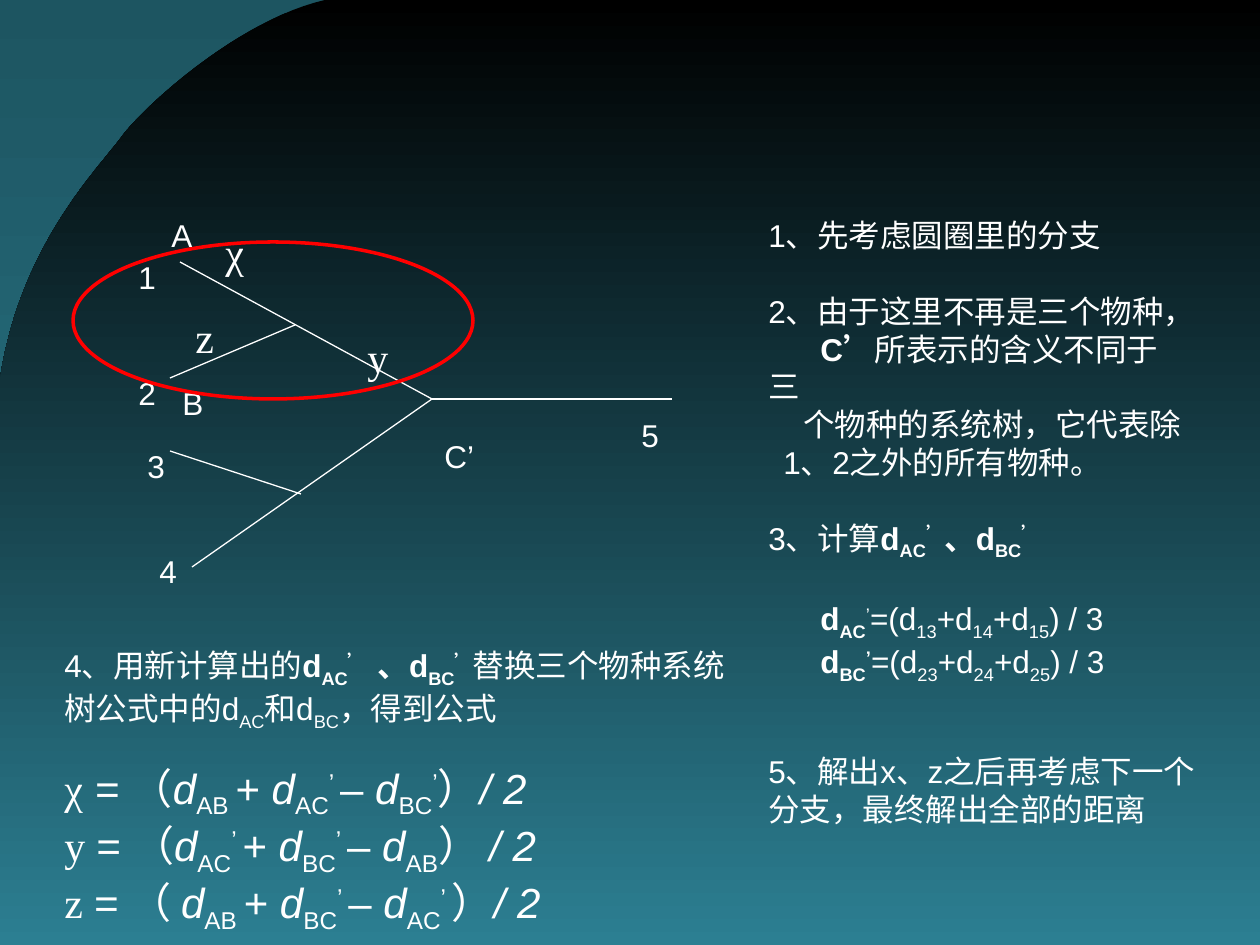
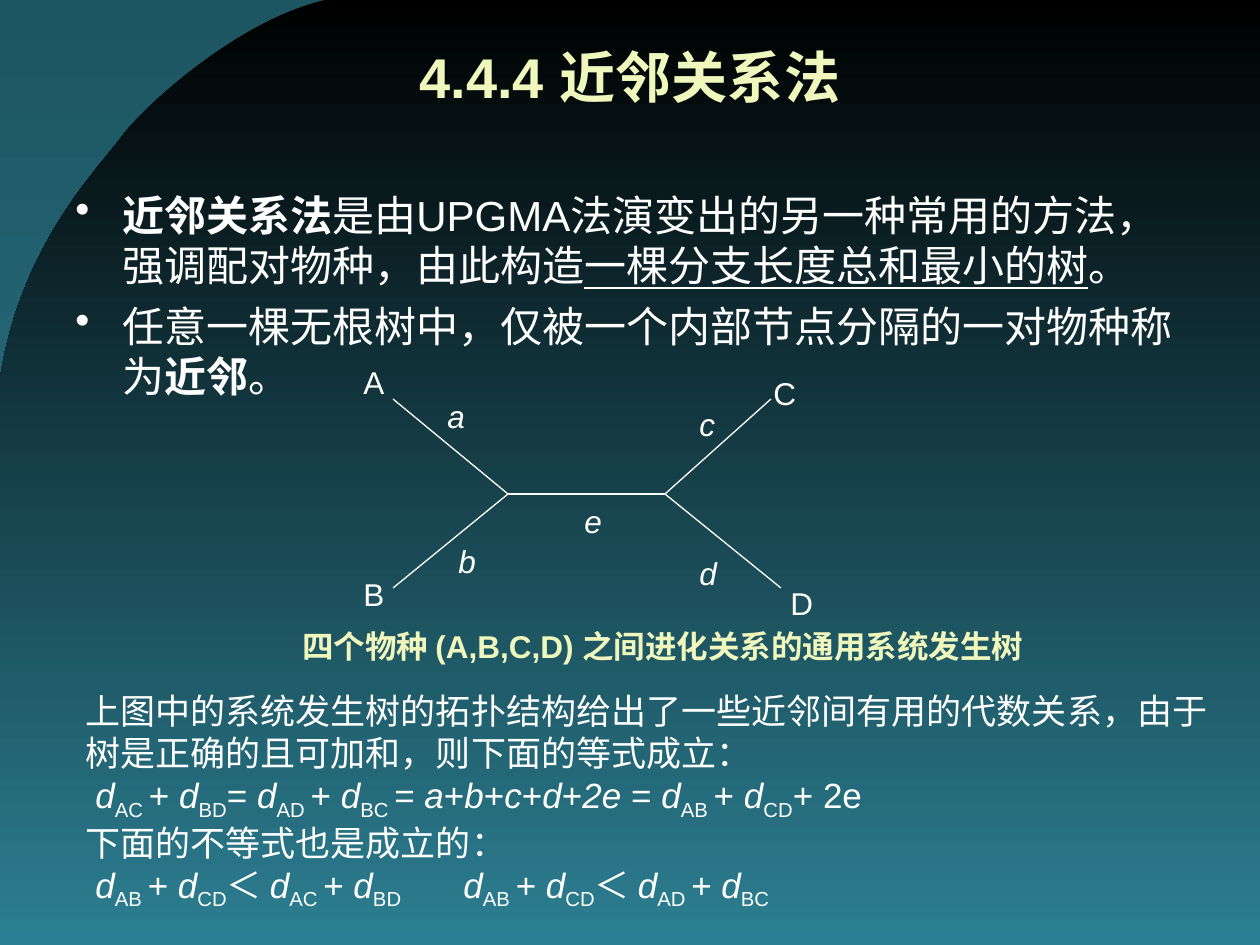
"""Build two slides on distance formulas for phylogenetic trees."""
from dataclasses import dataclass

from lxml.etree import SubElement
from pptx import Presentation
from pptx.dml.color import RGBColor
from pptx.enum.shapes import MSO_CONNECTOR, MSO_SHAPE
from pptx.enum.text import MSO_ANCHOR, PP_ALIGN
from pptx.oxml.ns import qn
from pptx.util import Emu, Pt

PX = 914400 / 126
WIDTH, HEIGHT = 1260, 945
WHITE, CREAM, RED = "FFFFFF", "F0F7BD", "FF0000"
BLACK, DARK_TEAL, TEAL = "000000", "1D5561", "2C7F92"
SANS, SERIF = "Arial", "Times New Roman"
TITLE_ONLY, BLANK = 5, 6
MARKS = "*~_^|$"


def px(length):
    return Emu(round(length * PX))


def rgb(value):
    return RGBColor.from_string(value)


def bezier(start, control1, control2, end, steps=24):
    for step in range(1, steps + 1):
        t = step / steps
        weights = ((1 - t) ** 3, 3 * t * (1 - t) ** 2, 3 * t * t * (1 - t), t ** 3)
        points = (start, control1, control2, end)
        yield tuple(px(sum(w * p[axis] for w, p in zip(weights, points))) for axis in (0, 1))


def split_marks(markup):
    active, words = set(), ""
    for char in markup:
        if char in MARKS:
            if words:
                yield words, frozenset(active)
            active ^= {char}
            words = ""
        else:
            words += char
    if words:
        yield words, frozenset(active)


@dataclass
class Line:
    markup: str
    before: float = 0
    left: int = 0
    first: int = 0
    tab: int = 0
    bullet: bool = False


class Deck:
    """Hold the shared style and the slide being built."""

    def __init__(self):
        self.prs = Presentation()
        self.prs.slide_width, self.prs.slide_height = px(WIDTH), px(HEIGHT)
        self.slide = None
        self.gradient(self.prs.slide_master.background.fill, DARK_TEAL, TEAL)

    def start(self, layout):
        self.slide = self.prs.slides.add_slide(self.prs.slide_layouts[layout])

    def gradient(self, fill, top, bottom):
        fill.gradient()
        fill.gradient_angle = 270
        for stop, color in zip(fill.gradient_stops, (top, bottom)):
            stop.color.rgb = rgb(color)

    def master_curve(self):
        crest, bend, edge = (325, 0), (123, 135), (0, 379)
        outline = self.slide.shapes.build_freeform(px(crest[0]), px(crest[1]), scale=1.0)
        outline.add_line_segments(bezier(crest, (239, 20), (146, 105), bend), close=False)
        outline.add_line_segments(bezier(bend, (101, 166), (20, 244), edge), close=False)
        corners = [(0, HEIGHT), (WIDTH, HEIGHT), (WIDTH, 0)]
        outline.add_line_segments([(px(x), px(y)) for x, y in corners], close=True)
        curve = outline.convert_to_shape()
        self.gradient(curve.fill, BLACK, TEAL)
        curve.line.fill.background()
        curve.shadow.inherit = False
        self.prs.slide_master.shapes._spTree.insert(2, curve._element)

    def paragraph(self, paragraph, line, size, color, bold=None):
        if line.before:
            paragraph.space_before = Pt(line.before)
        props = paragraph._p.get_or_add_pPr()
        props.set("marL", str(px(line.left)))
        props.set("indent", str(px(line.first)))
        if line.bullet:
            bullet_color = SubElement(props, qn("a:buClr"))
            SubElement(bullet_color, qn("a:srgbClr"), val=color)
            SubElement(props, qn("a:buChar"), char="•")
        if line.tab:
            stops = SubElement(props, qn("a:tabLst"))
            SubElement(stops, qn("a:tab"), pos=str(px(line.tab)), algn="l")
        font = paragraph.font
        font.name, font.size, font.bold = SANS, Pt(size), bold
        font.color.rgb = rgb(color)
        for words, marks in split_marks(line.markup):
            run = paragraph.add_run()
            run.text = words
            if "*" in marks:
                run.font.bold = True
            if "~" in marks:
                run.font.italic = True
            if "|" in marks:
                run.font.underline = True
            if "$" in marks:
                run.font.name = SERIF
            if marks & {"_", "^"}:
                baseline = "-25000" if "_" in marks else "30000"
                run._r.get_or_add_rPr().set("baseline", baseline)

    def title(self, words):
        heading = self.slide.shapes.title
        heading.left, heading.top, heading.width, heading.height = map(px, (63, 32, 1134, 88))
        frame = heading.text_frame
        frame.vertical_anchor = MSO_ANCHOR.MIDDLE
        paragraph = frame.paragraphs[0]
        paragraph.alignment = PP_ALIGN.CENTER
        self.paragraph(paragraph, Line(words), 32, CREAM, True)
        effects = SubElement(paragraph.runs[0]._r.get_or_add_rPr(), qn("a:effectLst"))
        shadow = SubElement(effects, qn("a:outerShdw"), dist="38100", dir="2700000")
        SubElement(shadow, qn("a:srgbClr"), val=BLACK)

    def text(self, box, lines, size=18, color=WHITE, bold=None):
        frame = self.slide.shapes.add_textbox(*map(px, box)).text_frame
        frame.word_wrap = True
        for index, line in enumerate(lines):
            paragraph = frame.add_paragraph() if index else frame.paragraphs[0]
            self.paragraph(paragraph, line, size, color, bold)

    def labels(self, entries, size=18):
        for markup, left, top in entries:
            width = 45 if len(markup.strip(MARKS)) == 1 else 60
            self.text((left, top, width, round(size * 2.8)), [Line(markup)], size)

    def branches(self, pairs):
        for start, end in pairs:
            branch = self.slide.shapes.add_connector(
                MSO_CONNECTOR.STRAIGHT, *map(px, (*start, *end)))
            branch.line.color.rgb = rgb(WHITE)
            branch.line.width = Pt(0.75)
            SubElement(branch._element.spPr, qn("a:effectLst"))

    def ring(self, box):
        ring = self.slide.shapes.add_shape(MSO_SHAPE.OVAL, *map(px, box))
        ring.fill.background()
        ring.line.color.rgb = rgb(RED)
        ring.line.width = Pt(2)
        ring.shadow.inherit = False


def five_species(deck):
    deck.start(BLANK)
    deck.master_curve()
    root = (432, 399)
    deck.branches([
        ((180, 262), root), ((295, 325), (170, 378)), (root, (192, 567)),
        ((170, 451), (301, 494)), (root, (672, 399)),
    ])
    deck.labels([
        ("A", 159, 210), ("B", 170, 378), ("C’", 432, 431), ("1", 126, 252),
        ("2", 126, 368), ("3", 135, 441), ("4", 147, 546), ("5", 629, 410),
    ])
    deck.labels([("$χ$", 213, 220), ("$у$", 355, 325), ("$z$", 183, 305)], 24)
    deck.ring((73, 242, 400, 157))
    gap = 21.6
    deck.text((756, 210, 441, 483), [
        Line("1、先考虑圆圈里的分支"),
        Line("2、由于这里不再是三个物种，", gap),
        Line("*C’*所表示的含义不同于三", first=52),
        Line("个物种的系统树，它代表除 1、2之外的所有物种。", left=15, first=20),
        Line("3、计算*d_AC_^’^、d_BC_^’^*", gap),
        Line("*d_AC_*^’^=(d_13_+d_14_+d_15_) / 3", gap, first=52),
        Line("*d_BC_^’^*=(d_23_+d_24_+d_25_) / 3", first=52),
    ])
    deck.text((52, 640, 693, 98), [
        Line("4、用新计算出的*d_AC_^’ ^ 、d_BC_^’^*替换三个物种系统树公式中的d_AC_和d_BC_，得到公式"),
    ])
    deck.text((52, 756, 651, 185), [
        Line("$χ$~ = ~（~d~_AB _+~ d~_AC_^’ ^– ~d~_BC_^’^）~/ 2~"),
        Line("$у $~= ~（~d~_AC_^’ ^+~ d~_BC_^’ ^– ~d~_AB_） ~/ 2~"),
        Line("$z $~= ~（ ~d~_AB _+ ~d~_BC_^’ ^–~ d~_AC_^’ ^）~/ 2~"),
    ], 24)
    deck.text((756, 746, 472, 88), [Line("5、解出x、z之后再考虑下一个分支，最终解出全部的距离")])


def neighbours(deck):
    deck.start(TITLE_ONLY)
    deck.title("4.4.4 近邻关系法")
    hanging = dict(left=47, first=-47, bullet=True)
    deck.text((63, 183, 1134, 693), [
        Line("*近邻关系法*是由UPGMA法演变出的另一种常用的方法，强调配对物种，由此构造|一棵分支长度总和最小的树|。", **hanging),
        Line("任意一棵无根树中，仅被一个内部节点分隔的一对物种称为*近邻*。", 6, **hanging),
    ], 24)
    left_node, right_node = (508, 494), (665, 494)
    deck.branches([
        ((393, 399), left_node), (left_node, (393, 588)), (left_node, right_node),
        (right_node, (771, 399)), (right_node, (781, 588)),
    ])
    deck.labels([
        ("A", 351, 357), ("B", 351, 569), ("C", 761, 368), ("D", 778, 578),
        ("~a~", 435, 391), ("~b~", 446, 536), ("~c~", 687, 399),
        ("~d~", 687, 548), ("~e~", 572, 496),
    ])
    deck.text((290, 621, 770, 50), [Line("四个物种 (A,B,C,D) 之间进化关系的通用系统发生树")],
              color=CREAM, bold=True)
    deck.text((73, 683, 1155, 234), [
        Line("上图中的系统发生树的拓扑结构给出了一些近邻间有用的代数关系，由于树是正确的且可加和，则下面的等式成立："),
        Line("~d~_AC _+ ~d~_BD_= ~d~_AD _+ ~d~_BC _= ~a~+~b~+~c~+~d~+~2e ~= ~d~_AB _+ ~d~_CD_+ 2e", first=10),
        Line("下面的不等式也是成立的："),
        Line("~d~_AB _+ ~d~_CD_＜ ~d~_AC _+ ~d~_BD_\t~d~_AB _+ ~d~_CD_＜ ~d~_AD _+ ~d~_BC_",
             first=10, tab=485),
    ], 20)


def main():
    deck = Deck()
    five_species(deck)
    neighbours(deck)
    deck.prs.save("out.pptx")


if __name__ == "__main__":
    main()
